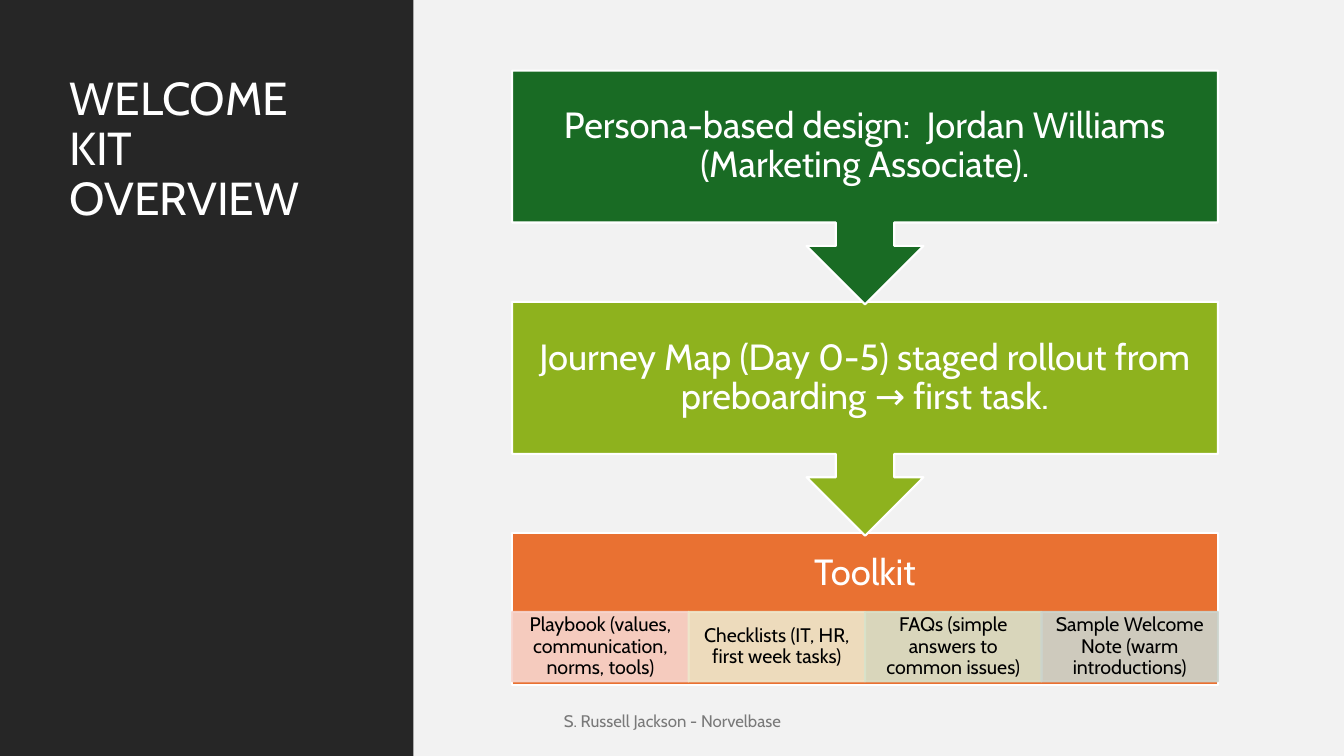
"""Build the welcome kit overview slide."""
from lxml import etree
from pptx import Presentation
from pptx.dml.color import RGBColor
from pptx.enum.shapes import MSO_SHAPE as Shape
from pptx.enum.text import MSO_ANCHOR as Anchor, PP_ALIGN as Align
from pptx.oxml.ns import qn
from pptx.util import Inches, Pt

FONT = "Cabin"
WHITE = "FFFFFF"
TITLE = "WELCOME KIT OVERVIEW"
STEPS = [
    ("Persona-based design:  Jordan Williams (Marketing Associate).", "196B24"),
    ("Journey Map (Day 0-5) staged rollout from preboarding → first task.", "8EB21E"),
]
TOOLKIT = ("Toolkit", "E97132")
TOOLS = [
    ("Playbook (values, communication, norms, tools)", "F7D5CE"),
    ("Checklists (IT, HR, first week tasks)", "EEE7CB"),
    ("FAQs (simple answers to common issues)", "D8E2CA"),
    ("Sample Welcome Note (warm introductions)", "CCD4CD"),
]
FOOTER = "S. Russell Jackson - Norvelbase"

FLOW_LEFT, FLOW_TOP, FLOW_WIDTH = 5.08, 0.7, 7
STEP_HEIGHT, STEP_PITCH = 2.32, 2.295
TOOLKIT_HEIGHT, TOOLS_OFFSET, TOOLS_HEIGHT = 1.51, 0.78, 0.69


def rgb(color):
    return RGBColor.from_string(color)


def set_alpha(fill, percent):
    for color in fill.iter(qn("a:srgbClr")):
        etree.SubElement(color, qn("a:alpha")).set("val", str(percent * 1000))


def write(shape, text, size, color, align=Align.CENTER, anchor=Anchor.MIDDLE,
          insets=(0.1, 0.05, 0.1, 0.05), spacing=0.9):
    frame = shape.text_frame
    frame.text = text
    frame.word_wrap = True
    frame.vertical_anchor = anchor
    (frame.margin_left, frame.margin_top,
     frame.margin_right, frame.margin_bottom) = map(Inches, insets)
    paragraph = frame.paragraphs[0]
    paragraph.alignment = align
    paragraph.line_spacing = spacing
    font = paragraph.runs[0].font
    font.name, font.size, font.color.rgb = FONT, Pt(size), rgb(color)


def add_block(slide, kind, box, fill, line=None):
    block = slide.shapes.add_shape(kind, *map(Inches, box))
    block.shadow.inherit = False
    block.fill.solid()
    block.fill.fore_color.rgb = rgb(fill)
    if line:
        block.line.color.rgb = rgb(line)
        block.line.width = Pt(1.5)
    else:
        block.line.fill.background()
    return block


def add_title(slide):
    title = slide.shapes.title
    for box, color in [((4.09, 0, 9.24, 7.5), "F2F2F2"), ((0, 0, 4.1, 7.5), "262626")]:
        panel = add_block(slide, Shape.RECTANGLE, box, color)
        title.element.addprevious(panel.element)
    title.left, title.top, title.width, title.height = map(Inches, (0.59, 0.7, 3.08, 6.1))
    write(title, TITLE, 33, WHITE, Align.LEFT, Anchor.TOP, (0.1, 0.05, 0.3, 0.05))


def add_toolkit(slide):
    top = FLOW_TOP + len(STEPS) * STEP_PITCH
    heading, color = TOOLKIT
    toolkit = add_block(slide, Shape.RECTANGLE,
                        (FLOW_LEFT, top, FLOW_WIDTH, TOOLKIT_HEIGHT), color, WHITE)
    write(toolkit, heading, 26, WHITE, insets=(0.2, 0.2, 0.2, 0.9))
    width = FLOW_WIDTH / len(TOOLS)
    for column, (text, color) in enumerate(TOOLS):
        box = (FLOW_LEFT + column * width, top + TOOLS_OFFSET, width, TOOLS_HEIGHT)
        tool = add_block(slide, Shape.RECTANGLE, box, color, color)
        set_alpha(tool.element.spPr, 90)
        write(tool, text, 14, "000000", insets=(0.11, 0.02, 0.11, 0.02))


def add_steps(slide):
    for row, (text, color) in reversed(list(enumerate(STEPS))):
        box = (FLOW_LEFT, FLOW_TOP + row * STEP_PITCH, FLOW_WIDTH, STEP_HEIGHT)
        step = add_block(slide, Shape.DOWN_ARROW_CALLOUT, box, color, WHITE)
        write(step, text, 26, WHITE, insets=(0.2,) * 4)


def add_footer(slide):
    footer = slide.shapes.add_textbox(*map(Inches, (4.42, 6.95, 4.5, 0.4)))
    write(footer, FOOTER, 12, "797979", spacing=1.0)


def main():
    deck = Presentation()
    deck.slide_width, deck.slide_height = Inches(13.33), Inches(7.5)
    slide = deck.slides.add_slide(deck.slide_layouts[5])
    add_title(slide)
    add_toolkit(slide)
    add_steps(slide)
    add_footer(slide)
    deck.save("out.pptx")


if __name__ == "__main__":
    main()
